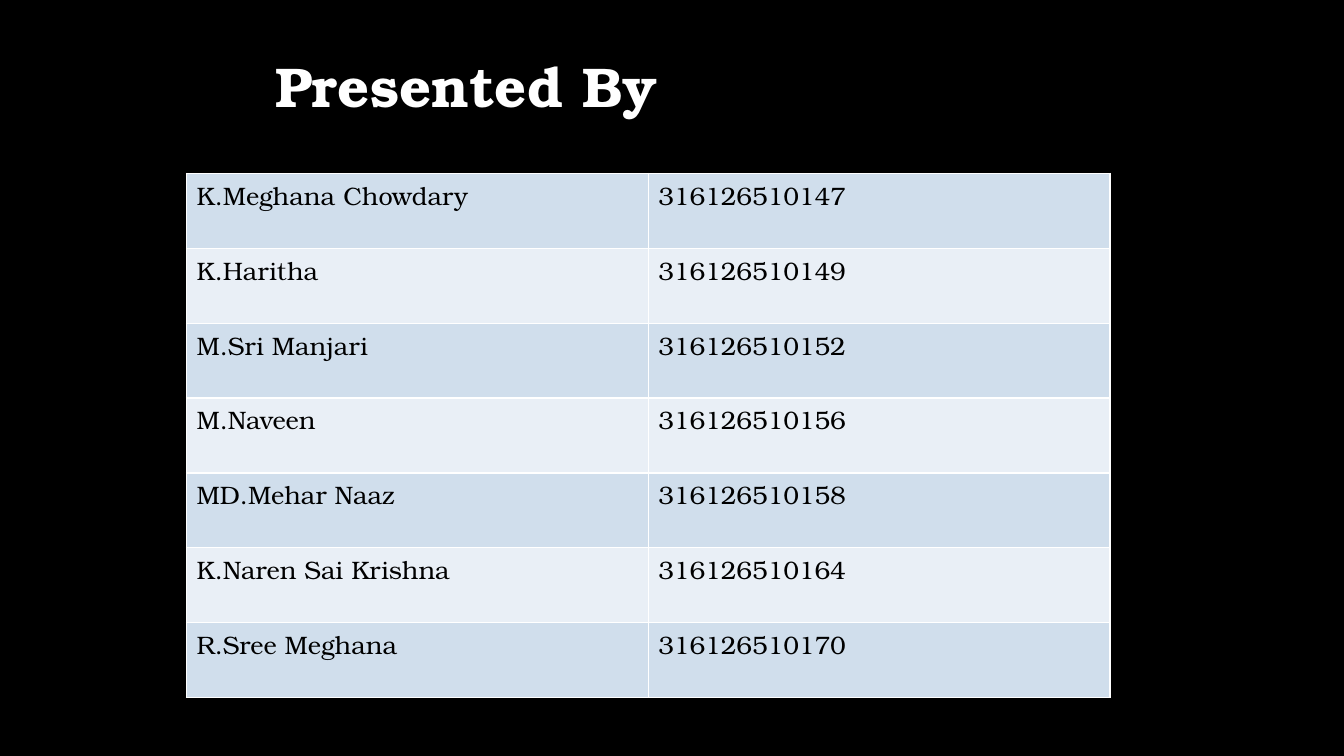
from dataclasses import dataclass

from lxml.etree import SubElement
from pptx import Presentation
from pptx.dml.color import RGBColor
from pptx.oxml.ns import qn
from pptx.util import Inches, Pt

FONT = "TeX Gyre Bonum"
BLACK, WHITE = "000000", "FFFFFF"
BANDS = ("D0DEEC", "E9EFF6")
COL_W, ROW_H = 4.58, 0.743


@dataclass(frozen=True)
class Presenter:
    """A presenter's name and roll number."""
    name: str
    roll: str


PRESENTERS = (
    Presenter("K.Meghana Chowdary", "316126510147"),
    Presenter("K.Haritha", "316126510149"),
    Presenter("M.Sri Manjari", "316126510152"),
    Presenter("M.Naveen", "316126510156"),
    Presenter("MD.Mehar Naaz", "316126510158"),
    Presenter("K.Naren Sai Krishna", "316126510164"),
    Presenter("R.Sree Meghana", "316126510170"),
)


def rgb(color: str) -> RGBColor:
    """Convert a hex string to a colour."""
    return RGBColor.from_string(color)


def add_run(p, text: str, size: float, color: str, bold: bool = False) -> None:
    """Add one styled run to a paragraph."""
    r = p.add_run()
    r.text = text
    r.font.name, r.font.size, r.font.bold = FONT, Pt(size), bold
    r.font.color.rgb = rgb(color)


def add_borders(cell, color: str, width: float) -> None:
    """Draw all four borders of a cell."""
    tc_pr = cell._tc.get_or_add_tcPr()
    for side in ("lnL", "lnR", "lnT", "lnB"):
        ln = SubElement(tc_pr, qn(f"a:{side}"), w=str(Pt(width)))
        fill = SubElement(ln, qn("a:solidFill"))
        SubElement(fill, qn("a:srgbClr"), val=color)


def add_title(s, text: str) -> None:
    """Add the slide heading."""
    sp = s.shapes.add_textbox(Inches(2.63), Inches(0.46), Inches(4.3), Inches(0.77))
    tf = sp.text_frame
    tf.word_wrap = True
    add_run(tf.paragraphs[0], text, 40, WHITE, bold=True)


def add_presenters(s, presenters: tuple[Presenter, ...]) -> None:
    """Add the banded table of presenters."""
    rows = len(presenters)
    table = s.shapes.add_table(rows, 2, Inches(1.85), Inches(1.72),
                               Inches(2 * COL_W), Inches(rows * ROW_H)).table
    table.first_row = table.horz_banding = False
    for i, presenter in enumerate(presenters):
        for j, text in enumerate((presenter.name, presenter.roll)):
            cell = table.cell(i, j)
            add_borders(cell, WHITE, 1)
            cell.fill.solid()
            cell.fill.fore_color.rgb = rgb(BANDS[i % 2])
            add_run(cell.text_frame.paragraphs[0], text, 18, BLACK)


def main() -> None:
    """Build and save the slide."""
    prs = Presentation()
    prs.slide_width, prs.slide_height = Inches(13.33), Inches(7.5)
    s = prs.slides.add_slide(prs.slide_layouts[6])
    s.background.fill.solid()
    s.background.fill.fore_color.rgb = rgb(BLACK)
    add_presenters(s, PRESENTERS)
    add_title(s, "Presented By")
    prs.save("out.pptx")


main()
